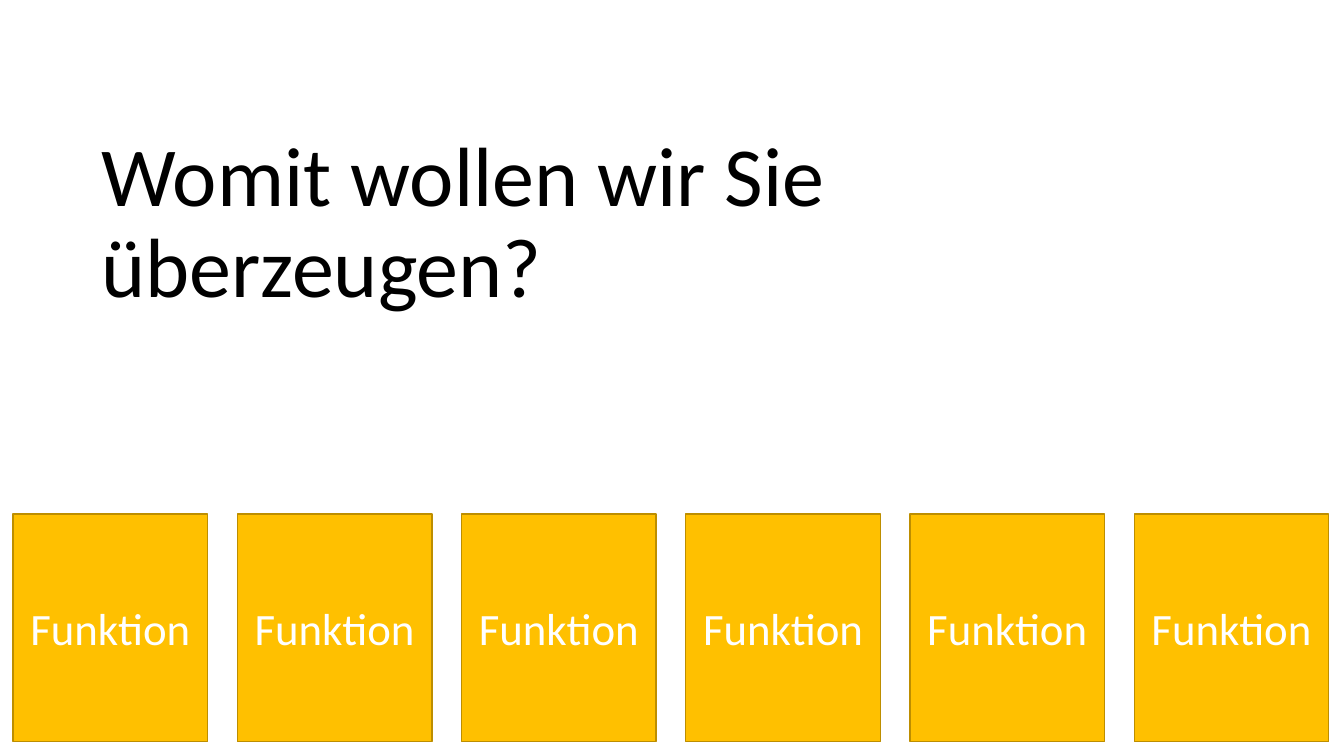
from pptx import Presentation
from pptx.dml.color import RGBColor
from pptx.enum.shapes import MSO_SHAPE
from pptx.enum.text import MSO_ANCHOR, PP_ALIGN
from pptx.util import Inches, Pt

RECT = MSO_SHAPE.RECTANGLE
BOTTOM, MIDDLE = MSO_ANCHOR.BOTTOM, MSO_ANCHOR.MIDDLE
LEFT, CENTER = PP_ALIGN.LEFT, PP_ALIGN.CENTER
TITLE_BOX = (0.91, 0.06, 11.5, 3.12)
TILES_BOX = (0.13, 5.1, 13.05, 2.26)
TILE_WIDTH = 1.93
TILES = ["Funktion"] * 6


def rgb(value):
    """Return the colour for a hex string."""
    return RGBColor.from_string(value)


def write(s, text, size, color, anchor, paragraph):
    """Write one formatted paragraph into a shape."""
    tf = s.text_frame
    tf.word_wrap = True
    tf.vertical_anchor = anchor
    p = tf.paragraphs[0]
    for name, value in paragraph.items():
        setattr(p, name, value)
    r = p.add_run()
    r.text = text
    for name, value in {"name": "Calibri", "size": Pt(size)}.items():
        setattr(r.font, name, value)
    r.font.color.rgb = rgb(color)


def add_title(slide, box, text):
    """Place the title at the bottom of its box."""
    s = slide.shapes.add_textbox(*map(Inches, box))
    write(s, text, 60, "000000", BOTTOM, {"alignment": LEFT, "line_spacing": 0.9})


def add_tiles(slide, box, labels):
    """Spread the function tiles evenly across the box."""
    left, top, width, height = box
    pitch = (width - TILE_WIDTH) / (len(labels) - 1)
    for i, label in enumerate(labels):
        tile = (left + i * pitch, top, TILE_WIDTH, height)
        s = slide.shapes.add_shape(RECT, *map(Inches, tile))
        s.shadow.inherit = False
        s.fill.solid()
        s.fill.fore_color.rgb = rgb("FFC000")
        s.line.color.rgb = rgb("BD8E00")
        s.line.width = Pt(1)
        write(s, label, 32, "FFFFFF", MIDDLE, {"alignment": CENTER})


def main():
    """Build and save the slide."""
    prs = Presentation()
    prs.slide_width, prs.slide_height = Inches(13.33), Inches(7.5)
    slide = prs.slides.add_slide(prs.slide_layouts[6])
    add_title(slide, TITLE_BOX, "Womit wollen wir Sie überzeugen?")
    add_tiles(slide, TILES_BOX, TILES)
    prs.save("out.pptx")


if __name__ == "__main__":
    main()
